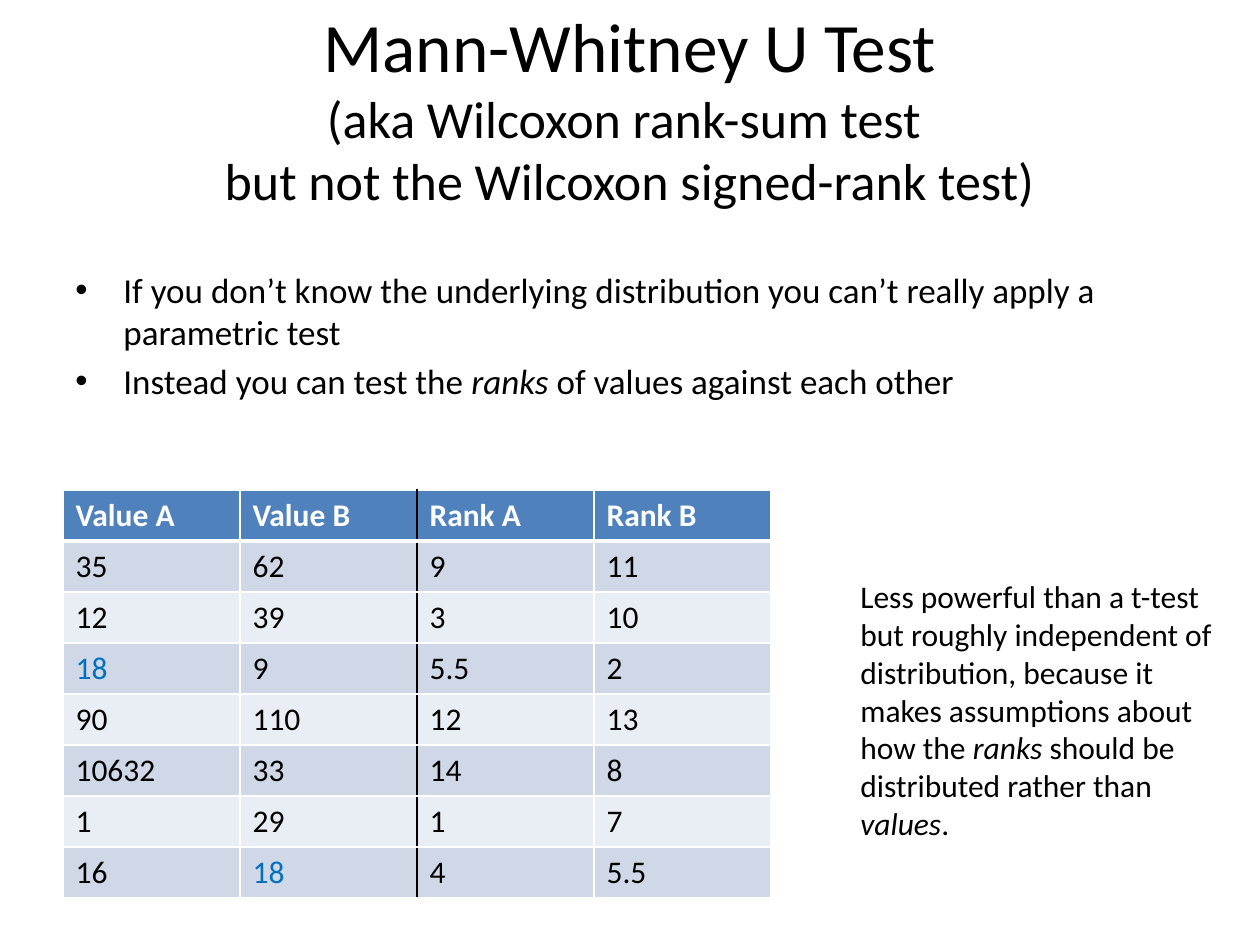
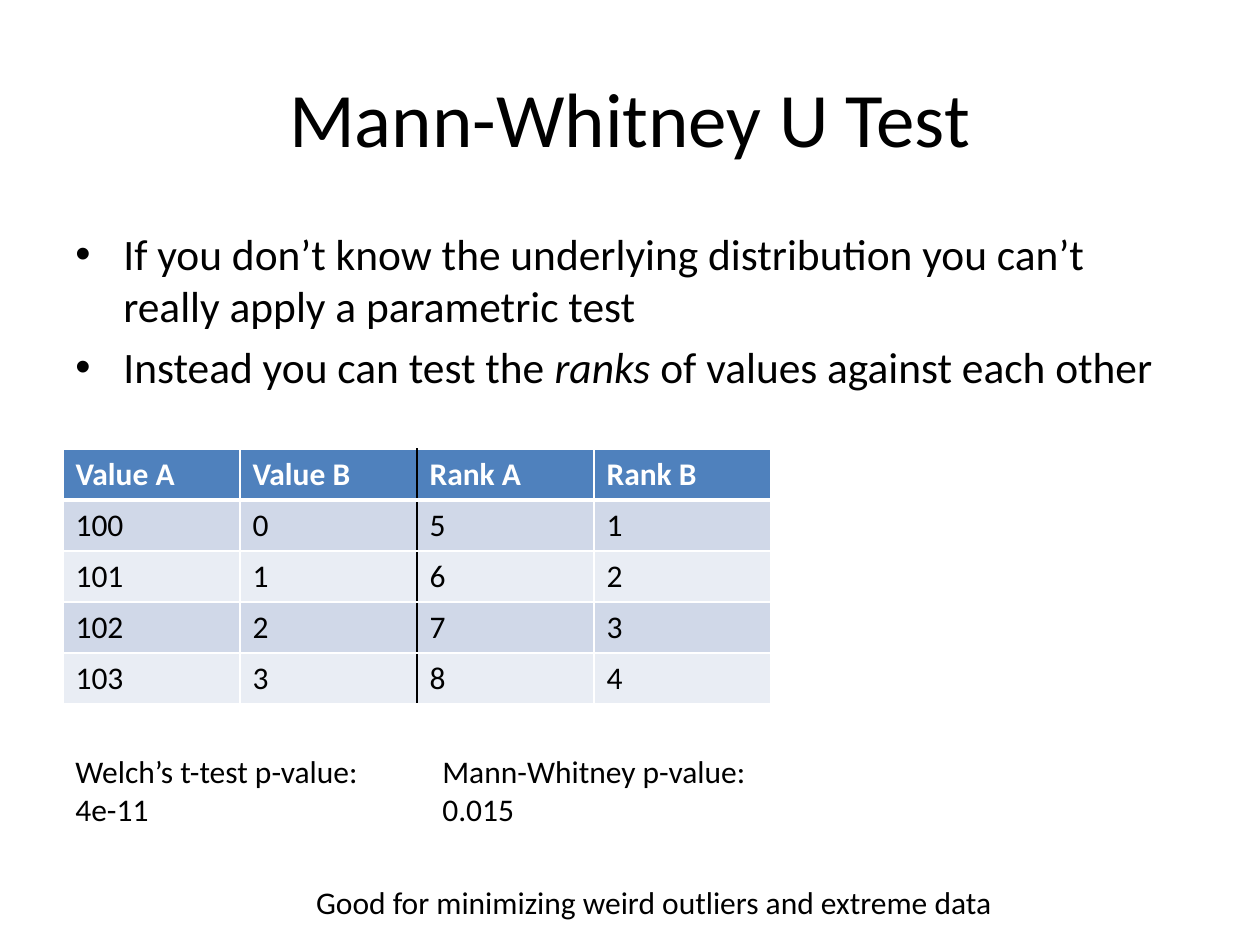
"""Build two slides on the Mann-Whitney U test."""
from lxml import etree
from pptx import Presentation
from pptx import util as u
from pptx.dml import color
from pptx.enum import text
from pptx.oxml import ns

PX = 914400 / 126
FONT = "Calibri"
BLACK, WHITE, TIED = "000000", "FFFFFF", "0070C0"
HEADER, BANDS = "4F81BD", ("D0D8E8", "E9EDF4")
COLUMN, ROW = 177, 51
LEFT, WIDTH = 63, 1134
INDENT, TITLE_HEIGHT = 48, 158


def add_run(paragraph, words, size, ink=BLACK, bold=False, italic=False):
    run = paragraph.add_run()
    run.text = words
    run.font.name, run.font.size = FONT, u.Pt(size)
    run.font.bold, run.font.italic = bold, italic
    run.font.color.rgb = color.RGBColor.from_string(ink)


def add_frame(slide, *box):
    frame = slide.shapes.add_textbox(*[round(n * PX) for n in box]).text_frame
    frame.word_wrap = True
    return frame


points = [
    ["If you don’t know the underlying distribution you can’t really apply a parametric test"],
    ["Instead you can test the ", "ranks", " of values against each other"],
]
headings = ["Value A", "Value B", "Rank A", "Rank B"]

lessons = [
    {
        "title_top": 28,
        "title": [("Mann-Whitney U Test", 39.6), ("(aka Wilcoxon rank-sum test ", 29.7),
                  ("but not the Wilcoxon signed-rank test)", 29.7)],
        "points_top": 262, "points_height": 229, "points_size": 20, "points_gap": 4,
        "table_top": 490,
        "ranks": [
            ["35", "62", "9", "11"],
            ["12", "39", "3", "10"],
            ["18", "9", "5.5", "2"],
            ["90", "110", "12", "13"],
            ["10632", "33", "14", "8"],
            ["1", "29", "1", "7"],
            ["16", "18", "4", "5.5"],
        ],
        "remarks": [
            ((848, 571, 404, 280), text.PP_ALIGN.LEFT, [[
                "Less powerful than a t-test but roughly independent of distribution, "
                "because it makes assumptions about how the ",
                "ranks ", "should be distributed rather than ", "values", "."]]),
        ],
    },
    {
        "title_top": 38,
        "title": [("Mann-Whitney U Test", 44)],
        "points_top": 221, "points_height": 183, "points_size": 24.8, "points_gap": 5,
        "table_top": 449,
        "ranks": [
            ["100", "0", "5", "1"],
            ["101", "1", "6", "2"],
            ["102", "2", "7", "3"],
            ["103", "3", "8", "4"],
        ],
        "remarks": [
            ((430, 746, 343, 89), text.PP_ALIGN.LEFT, [["Mann-Whitney p-value:"], ["0.015"]]),
            ((63, 746, 320, 89), text.PP_ALIGN.LEFT, [["Welch’s t-test p-value:"], ["4e-11"]]),
            ((273, 877, 762, 50), text.PP_ALIGN.CENTER,
             [["Good for minimizing weird outliers and extreme data"]]),
        ],
    },
]

deck = Presentation()
deck.slide_width, deck.slide_height = round(1260 * PX), round(945 * PX)

for lesson in lessons:
    slide = deck.slides.add_slide(deck.slide_layouts[6])

    title = add_frame(slide, LEFT, lesson["title_top"], WIDTH, TITLE_HEIGHT)
    title.vertical_anchor = text.MSO_ANCHOR.MIDDLE
    heading = title.paragraphs[0]
    heading.alignment = text.PP_ALIGN.CENTER
    for n, (line, size) in enumerate(lesson["title"]):
        if n:
            heading.add_line_break()
        add_run(heading, line, size)

    body = add_frame(slide, LEFT, lesson["points_top"], WIDTH, lesson["points_height"])
    for n, point in enumerate(points):
        bullet = body.add_paragraph() if n else body.paragraphs[0]
        properties = bullet._p.get_or_add_pPr()
        properties.set("marL", str(round(INDENT * PX)))
        properties.set("indent", str(round(-INDENT * PX)))
        etree.SubElement(properties, ns.qn("a:buFont")).set("typeface", "Arial")
        etree.SubElement(properties, ns.qn("a:buChar")).set("char", "•")
        if n:
            bullet.space_before = u.Pt(lesson["points_gap"])
        for k, piece in enumerate(point):
            add_run(bullet, piece, lesson["points_size"], italic=k % 2 == 1)

    rows = [headings] + lesson["ranks"]
    box = (LEFT, lesson["table_top"], COLUMN * len(headings), ROW * len(rows))
    table = slide.shapes.add_table(
        len(rows), len(headings), *[round(n * PX) for n in box]).table
    for column in table.columns:
        column.width = round(COLUMN * PX)
    for r, row in enumerate(rows):
        table.rows[r].height = round(ROW * PX)
        for c, value in enumerate(row):
            cell = table.cell(r, c)
            edges = {
                "lnL": (BLACK if c == 2 else WHITE, 1),
                "lnR": (BLACK if c == 1 else WHITE, 1),
                "lnT": (WHITE, 3 if r == 1 else 1),
                "lnB": (WHITE, 1 if r else 3),
            }
            for edge, (ink, weight) in edges.items():
                line = etree.SubElement(cell._tc.get_or_add_tcPr(), ns.qn("a:" + edge))
                line.set("w", str(u.Pt(weight)))
                solid = etree.SubElement(line, ns.qn("a:solidFill"))
                etree.SubElement(solid, ns.qn("a:srgbClr")).set("val", ink)
            cell.fill.solid()
            cell.fill.fore_color.rgb = color.RGBColor.from_string(
                BANDS[(r - 1) % 2] if r else HEADER)
            ink = WHITE if r == 0 else TIED if value == "18" else BLACK
            add_run(cell.text_frame.paragraphs[0], value, 18, ink, bold=r == 0)

    for place, alignment, paragraphs in lesson["remarks"]:
        remark = add_frame(slide, *place)
        for n, pieces in enumerate(paragraphs):
            paragraph = remark.add_paragraph() if n else remark.paragraphs[0]
            paragraph.alignment = alignment
            for k, piece in enumerate(pieces):
                add_run(paragraph, piece, 18, italic=k % 2 == 1)

deck.save("out.pptx")
